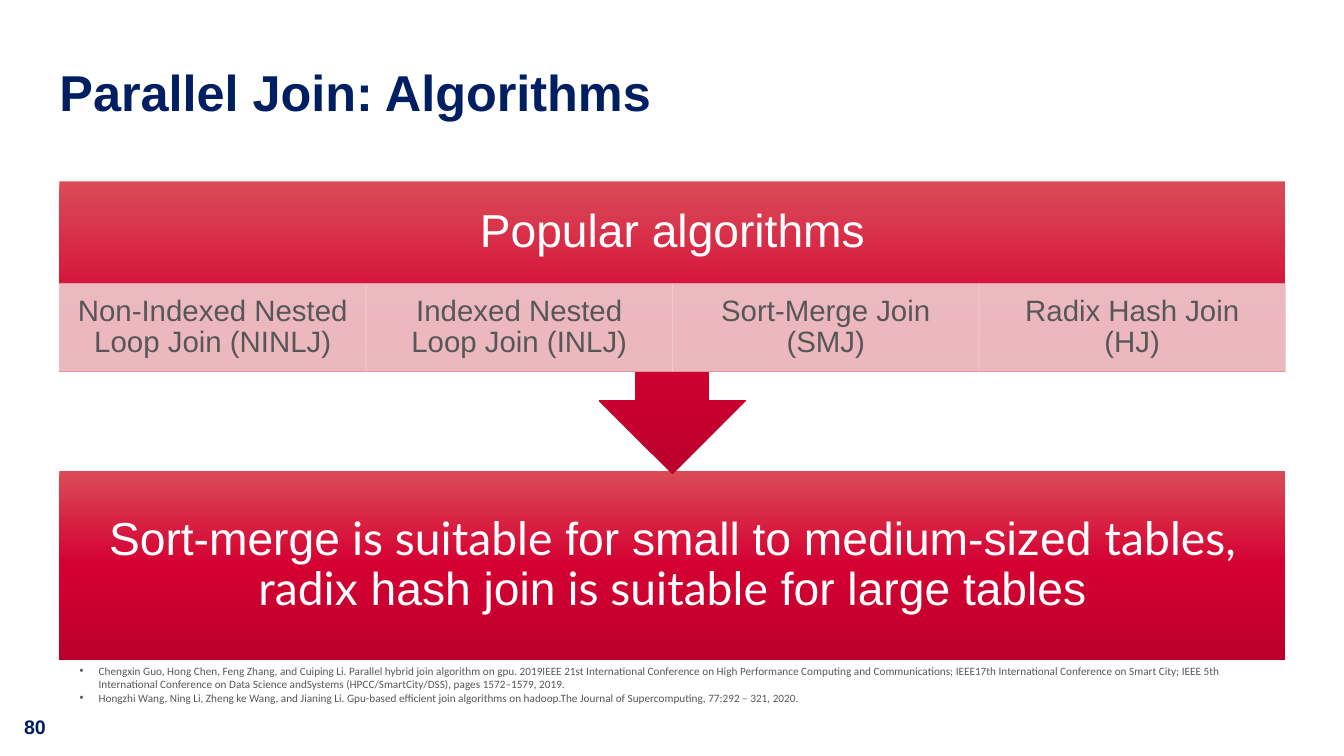
from copy import deepcopy

from lxml import etree
from pptx import Presentation
from pptx.dml.color import RGBColor
from pptx.enum.shapes import MSO_SHAPE as Kind
from pptx.enum.text import MSO_ANCHOR as Anchor, PP_ALIGN as Align
from pptx.oxml.ns import qn
from pptx.util import Inches, Pt

WHITE = RGBColor(0xFF, 0xFF, 0xFF)
NAVY = RGBColor(0x00, 0x1E, 0x62)
GREY = RGBColor(0x57, 0x57, 0x57)
PINK = RGBColor(0xEF, 0xCC, 0xCE)
REDS = (RGBColor(0xDB, 0x4B, 0x57), RGBColor(0xD4, 0x00, 0x32),
        RGBColor(0xBC, 0x00, 0x2C))

HEAD = dict(name="Arial", size=Pt(36), bold=True, color=NAVY)
PAGE = dict(name="Arial", size=Pt(14), bold=True, color=NAVY)
BIG = dict(name="Arial", size=Pt(33), color=WHITE)
LATO = dict(BIG, name="Lato")
SMALL = dict(name="Arial", size=Pt(21), color=GREY)
NOTE = dict(name="Calibri", size=Pt(8), color=GREY)

JOINS = ("Non-Indexed Nested Loop Join\u00a0(NINLJ)",
         "Indexed\u00a0Nested Loop Join (INLJ)",
         "Sort-Merge Join (SMJ)",
         "Radix Hash Join (HJ)")
RESULT = (("Sort-merge", BIG), (" is suitable", LATO),
          (" for small to medium-sized ", BIG), ("tables, radix", LATO),
          (" hash join", BIG), (" is suitable", LATO),
          (" for large tables", BIG))
PAPERS = (
    "Chengxin Guo, Hong Chen, Feng Zhang, and Cuiping Li. Parallel hybrid "
    "join algorithm on gpu. 2019IEEE 21st International Conference on High "
    "Performance Computing and Communications; IEEE17th International "
    "Conference on Smart City; IEEE 5th International Conference on Data "
    "Science andSystems (HPCC/SmartCity/DSS), pages 1572–1579, 2019.",
    "Hongzhi Wang, Ning Li, Zheng ke Wang, and Jianing Li. Gpu-based "
    "efficient join algorithms on hadoop.The Journal of Supercomputing, "
    "77:292 – 321, 2020.",
)


def style(font, form):
    for key, value in form.items():
        if key == "color":
            font.color.rgb = value
        else:
            setattr(font, key, value)


def write(para, runs):
    for text, form in runs:
        run = para.add_run()
        run.text = text
        style(run.font, form)


def frame(shape, pad, anchor=Anchor.MIDDLE):
    """Set wrapping, anchor and (side, end) insets; return the text frame."""
    body = shape.text_frame
    body.word_wrap = True
    body.vertical_anchor = anchor
    body.margin_left = body.margin_right = Inches(pad[0])
    body.margin_top = body.margin_bottom = Inches(pad[1])
    return body


def label(shape, runs, pad, align=Align.CENTER):
    para = frame(shape, pad).paragraphs[0]
    para.alignment = align
    para.line_spacing = 0.9
    write(para, runs)


def add_box(slide, box):
    return slide.shapes.add_textbox(*map(Inches, box))


def add_form(slide, kind, box):
    shape = slide.shapes.add_shape(kind, *map(Inches, box))
    shape.shadow.inherit = False
    return shape


def shade(shape):
    """Fill with the three reds from top to bottom, without a line."""
    fill = shape.fill
    fill.gradient()
    fill.gradient_angle = 270
    stops = shape.element.spPr.find(".//" + qn("a:gsLst"))
    stops.insert(1, deepcopy(stops[0]))
    for stop, color, place in zip(fill.gradient_stops, REDS, (0, 0.5, 1)):
        stop.color.rgb = color
        stop.position = place
    shape.line.fill.background()


def add_title(slide, box):
    label(add_box(slide, box), [("Parallel Join: Algorithms", HEAD)],
          (0, 0), Align.LEFT)


def add_result(slide, box):
    panel = add_form(slide, Kind.RECTANGLE, box)
    shade(panel)
    label(panel, RESULT, (0.26, 0.26))


def add_cell(slide, box, text):
    cell = add_form(slide, Kind.RECTANGLE, box)
    cell.fill.solid()
    cell.fill.fore_color.rgb = PINK
    cell.line.color.rgb = PINK
    cell.line.width = Pt(0.5)
    for color in cell.element.spPr.iter(qn("a:srgbClr")):
        etree.SubElement(color, qn("a:alpha")).set("val", "90000")
    label(cell, [(text, SMALL)], (0.16, 0.03))


def add_joins(slide, box):
    """Place the arrow panel, its heading and one cell per algorithm."""
    left, top, width, height = box
    shade(add_form(slide, Kind.DOWN_ARROW_CALLOUT, box))
    head, row = height * 0.35, height * 0.3
    label(add_box(slide, (left, top, width, head)),
          [("Popular algorithms", BIG)], (0.26, 0.26))
    step = width / len(JOINS)
    for i, text in enumerate(JOINS):
        add_cell(slide, (left + i * step, top + head, step, row), text)


def add_papers(slide, box):
    body = frame(add_box(slide, box), (0.1, 0.05), Anchor.TOP)
    for i, text in enumerate(PAPERS):
        para = body.add_paragraph() if i else body.paragraphs[0]
        props = para._p.get_or_add_pPr()
        props.set("marL", str(Inches(0.19)))
        props.set("indent", str(-Inches(0.19)))
        etree.SubElement(props, qn("a:buFont")).set("typeface", "Arial")
        etree.SubElement(props, qn("a:buChar")).set("char", "•")
        write(para, [(text, NOTE)])


def add_page(slide, box):
    body = frame(add_box(slide, box), (0.1, 0.05), Anchor.TOP)
    write(body.paragraphs[0], [("80", PAGE)])


def main():
    deck = Presentation()
    deck.slide_width, deck.slide_height = Inches(13.33), Inches(7.5)
    slide = deck.slides.add_slide(deck.slide_layouts[6])
    add_page(slide, (0.14, 7.04, 0.66, 0.34))
    add_title(slide, (0.59, 0.52, 11.63, 0.84))
    add_result(slide, (0.59, 4.67, 12.16, 1.88))
    add_joins(slide, (0.59, 1.8, 12.16, 2.9))
    add_papers(slide, (0.69, 6.54, 11.85, 0.5))
    deck.save("out.pptx")


if __name__ == "__main__":
    main()
